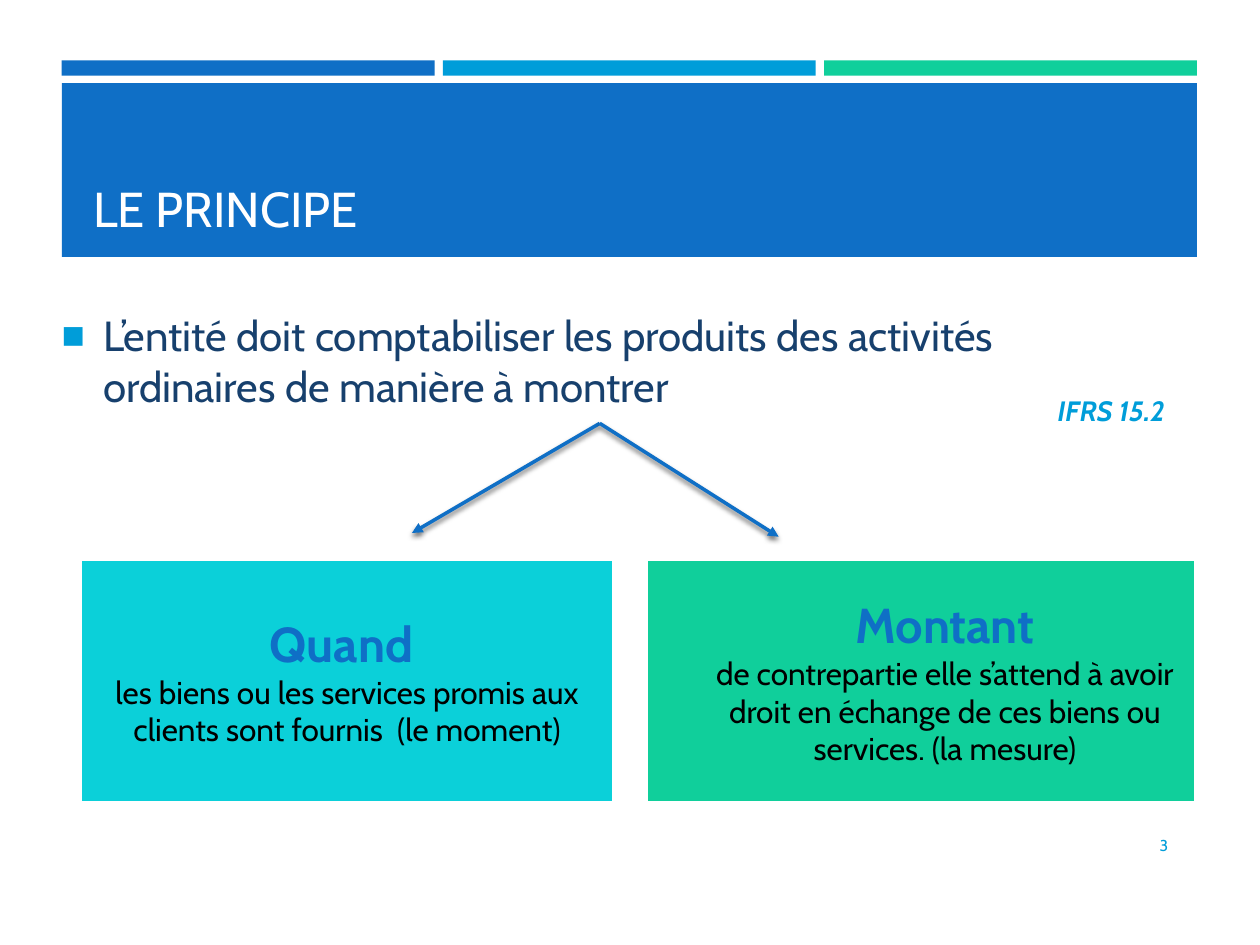
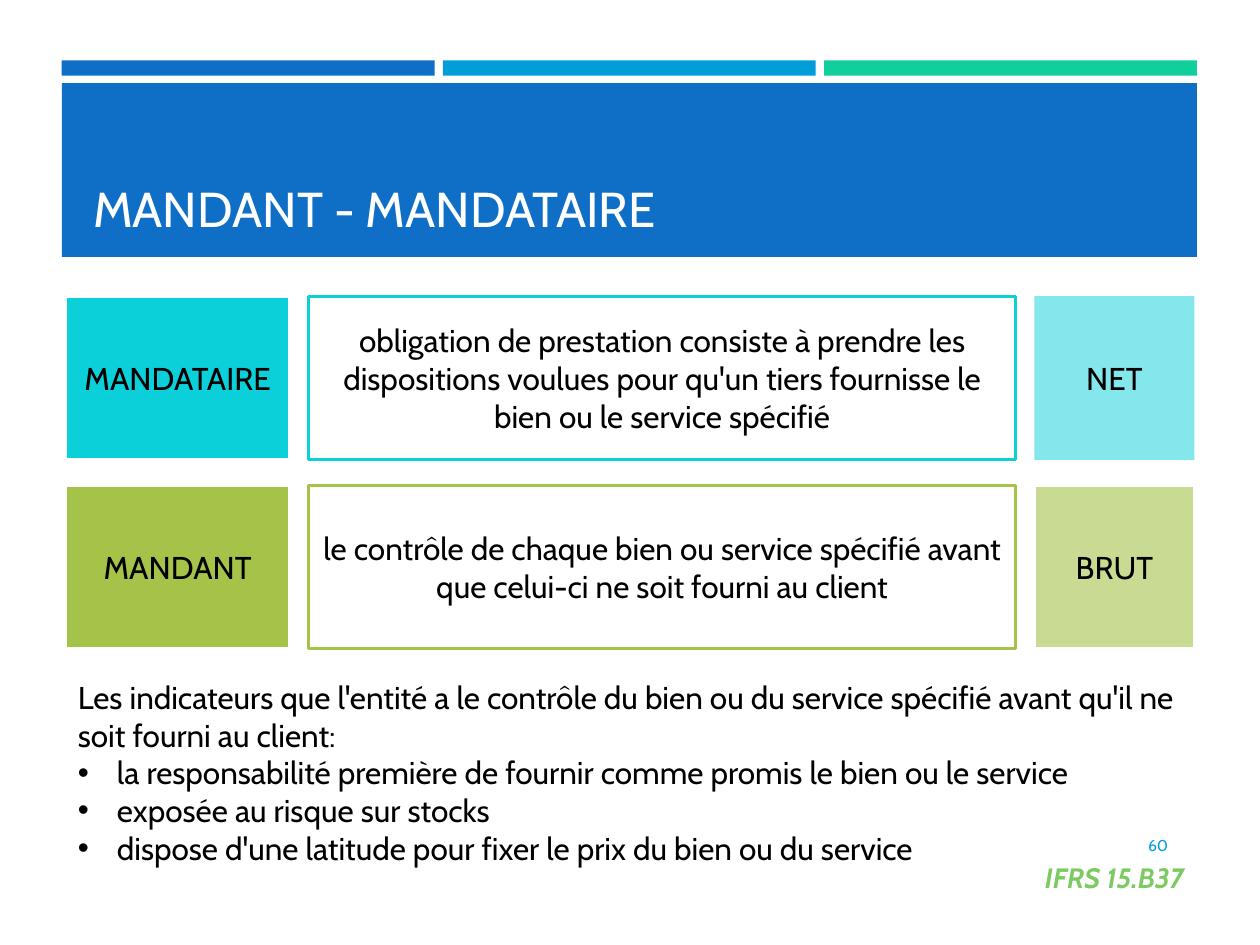
from lxml import etree
from pptx import Presentation
from pptx.dml.color import RGBColor
from pptx.enum.shapes import MSO_CONNECTOR, MSO_SHAPE
from pptx.enum.text import MSO_ANCHOR, PP_ALIGN
from pptx.oxml.ns import qn
from pptx.util import Inches, Pt

RECTANGLE = MSO_SHAPE.RECTANGLE
STRAIGHT = MSO_CONNECTOR.STRAIGHT
TOP, MIDDLE, BOTTOM = MSO_ANCHOR.TOP, MSO_ANCHOR.MIDDLE, MSO_ANCHOR.BOTTOM
LEFT, CENTER, RIGHT = PP_ALIGN.LEFT, PP_ALIGN.CENTER, PP_ALIGN.RIGHT

COLORS = {
    "blue": "0F6FC6",
    "sky": "009DD9",
    "green": "10CF9B",
    "cyan": "0BD0D9",
    "olive": "A5C249",
    "pale_olive": "C9DA92",
    "leaf": "7CCA62",
    "navy": "17406D",
    "white": "FFFFFF",
    "black": "000000",
}
FONT = "Cabin"
STYLES = {
    "title": ({"size": Pt(28)}, "white"),
    "lead": ({"size": Pt(24)}, "navy"),
    "heading": ({"size": Pt(28), "bold": True}, "blue"),
    "body": ({"size": Pt(18)}, "black"),
    "reference": ({"size": Pt(16), "bold": True, "italic": True}, "sky"),
    "number": ({"size": Pt(9)}, "sky"),
}
BAND_LEFT, BAND_WIDTH, STRIPE_WIDTH = 0.49, 9.01, 2.96


def rgb(name):
    return RGBColor.from_string(COLORS[name])


def add_child(parent, tag, **attributes):
    child = etree.SubElement(parent, qn(tag))
    for name, value in attributes.items():
        child.set(name, str(value))
    return child


def write_run(paragraph, text, style, color=None):
    values, style_color = STYLES[style]
    run = paragraph.add_run()
    run.text = text
    for name, value in {"name": FONT, **values}.items():
        setattr(run.font, name, value)
    run.font.color.rgb = rgb(color or style_color)


def write_lines(paragraph, lines, align=LEFT, color=None):
    paragraph.alignment = align
    for index, (text, style) in enumerate(lines):
        if index:
            paragraph.add_line_break()
        write_run(paragraph, text, style, color)


def set_indent(paragraph, margin, hanging=0):
    properties = paragraph._p.get_or_add_pPr()
    properties.set("marL", str(Inches(margin)))
    properties.set("indent", str(-Inches(hanging)))
    return properties


def add_bullet(paragraph, character, indent, color=None, percent=100):
    properties = set_indent(paragraph, indent, indent)
    if color:
        bullet_color = add_child(properties, "a:buClr")
        add_child(bullet_color, "a:srgbClr", val=COLORS[color])
    add_child(properties, "a:buSzPct", val=percent * 1000)
    add_child(properties, "a:buFont", typeface="Arial")
    add_child(properties, "a:buChar", char=character)


def add_text(slide, box, lines, anchor=MIDDLE, align=LEFT, color=None):
    shape = slide.shapes.add_textbox(*map(Inches, box))
    frame = shape.text_frame
    frame.word_wrap = True
    frame.vertical_anchor = anchor
    write_lines(frame.paragraphs[0], lines, align, color)
    return frame


def add_box(slide, box, fill, lines=(), line=None, line_width=2, alpha=None):
    shape = slide.shapes.add_shape(RECTANGLE, *map(Inches, box))
    shape.shadow.inherit = False
    shape.fill.solid()
    shape.fill.fore_color.rgb = rgb(fill)
    if alpha:
        color = shape._element.spPr.find(qn("a:solidFill")).find(qn("a:srgbClr"))
        add_child(color, "a:alpha", val=alpha * 1000)
    if line:
        shape.line.color.rgb = rgb(line)
        shape.line.width = Pt(line_width)
    else:
        shape.line.fill.background()
    frame = shape.text_frame
    frame.word_wrap = True
    frame.vertical_anchor = MIDDLE
    write_lines(frame.paragraphs[0], lines, CENTER)
    return frame


def add_arrow(slide, start, end):
    arrow = slide.shapes.add_connector(STRAIGHT, *map(Inches, start + end))
    arrow.line.color.rgb = rgb("blue")
    arrow.line.width = Pt(2)
    add_child(arrow.line._get_or_add_ln(), "a:tailEnd", type="triangle")
    effects = add_child(arrow._element.spPr, "a:effectLst")
    shadow = add_child(effects, "a:outerShdw", blurRad=Pt(3), dist=Pt(2),
                       dir=90 * 60000, rotWithShape=0)
    color = add_child(shadow, "a:srgbClr", val=COLORS["black"])
    add_child(color, "a:alpha", val=55000)


def add_slide(presentation, title, number):
    slide = presentation.slides.add_slide(presentation.slide_layouts[6])
    step = (BAND_WIDTH - STRIPE_WIDTH) / 2
    for index, color in enumerate(("blue", "sky", "green")):
        add_box(slide, (BAND_LEFT + index * step, 0.48, STRIPE_WIDTH, 0.12), color)
    add_box(slide, (BAND_LEFT, 0.66, BAND_WIDTH, 1.38), "blue")
    add_text(slide, (0.64, 0.75, 8.74, 1.18), [(title, "title")], BOTTOM)
    add_text(slide, (8.53, 6.51, 0.84, 0.4), [(number, "number")], align=RIGHT)
    return slide


def build_principle(presentation):
    slide = add_slide(presentation, "LE PRINCIPE", "3")
    lead = add_text(slide, (0.39, 2.41, 8.74, 0.95), [
        ("L’entité doit comptabiliser les produits des activités ordinaires "
         "de manière à montrer", "lead")], TOP)
    add_bullet(lead.paragraphs[0], "■", 0.33, "sky", 92)
    add_box(slide, (0.64, 4.44, 4.23, 1.93), "cyan", [
        ("Quand ", "heading"),
        ("les biens ou les services promis aux clients sont fournis  (le moment)",
         "body")], "white")
    amount = add_box(slide, (5.13, 4.44, 4.36, 1.93), "green", [
        ("Montant", "heading"),
        ("de contrepartie elle s’attend à avoir droit en échange de ces biens "
         "ou services. (la mesure)", "body")], "white")
    set_indent(amount.paragraphs[0], 0.38)
    for end in ((3.27, 4.23), (6.18, 4.26)):
        add_arrow(slide, (4.76, 3.36), end)
    add_text(slide, (8.15, 3.05, 1.34, 0.42), [("IFRS 15.2", "reference")],
             align=CENTER)


def build_principal_agent(presentation):
    slide = add_slide(presentation, "MANDANT - MANDATAIRE", "60")
    rows = [
        ("MANDATAIRE", "obligation de prestation consiste à prendre les dispositions "
         "voulues pour qu'un tiers fournisse le bien ou le service spécifié",
         "NET", "cyan", {"fill": "cyan", "alpha": 50}),
        ("MANDANT", "le contrôle de chaque bien ou service spécifié avant que "
         "celui-ci ne soit fourni au client",
         "BRUT", "olive", {"fill": "pale_olive", "line": "white"}),
    ]
    for index, (role, description, result, color, result_format) in enumerate(rows):
        top = 2.35 + index * 1.5
        add_box(slide, (0.52, top, 1.78, 1.3), color, [(role, "body")], "white")
        add_box(slide, (2.45, top, 5.61, 1.3), "white", [(description, "body")],
                color, 1.75)
        add_box(slide, (8.21, top, 1.27, 1.3), lines=[(result, "body")],
                **result_format)
    indicators = add_text(slide, (0.52, 5.33, 8.97, 1.62), [
        ("Les indicateurs que l'entité a le contrôle du bien ou du service spécifié "
         "avant qu'il ne soit fourni au client:", "body")], TOP)
    for text in (
        "la responsabilité première de fournir comme promis le bien ou le service",
        "exposée au risque sur stocks",
        "dispose d'une latitude pour fixer le prix du bien ou du service",
    ):
        paragraph = indicators.add_paragraph()
        add_bullet(paragraph, "•", 0.31)
        write_lines(paragraph, [(text, "body")])
    add_text(slide, (8.01, 6.75, 1.67, 0.42), [("IFRS 15.B37", "reference")],
             align=CENTER, color="leaf")


def main():
    presentation = Presentation()
    presentation.slide_width = Inches(10)
    presentation.slide_height = Inches(7.5)
    build_principle(presentation)
    build_principal_agent(presentation)
    presentation.save("out.pptx")


if __name__ == "__main__":
    main()
